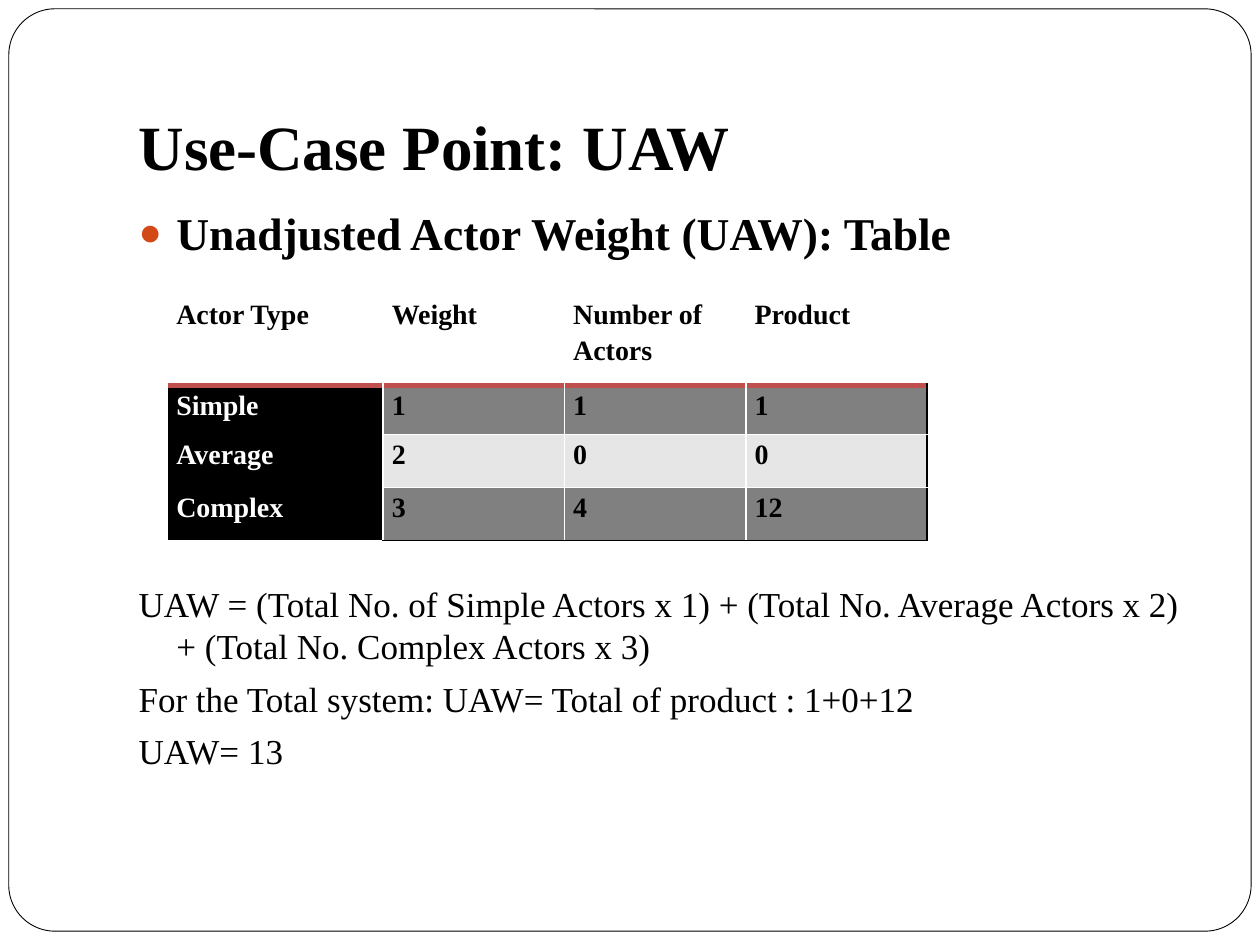
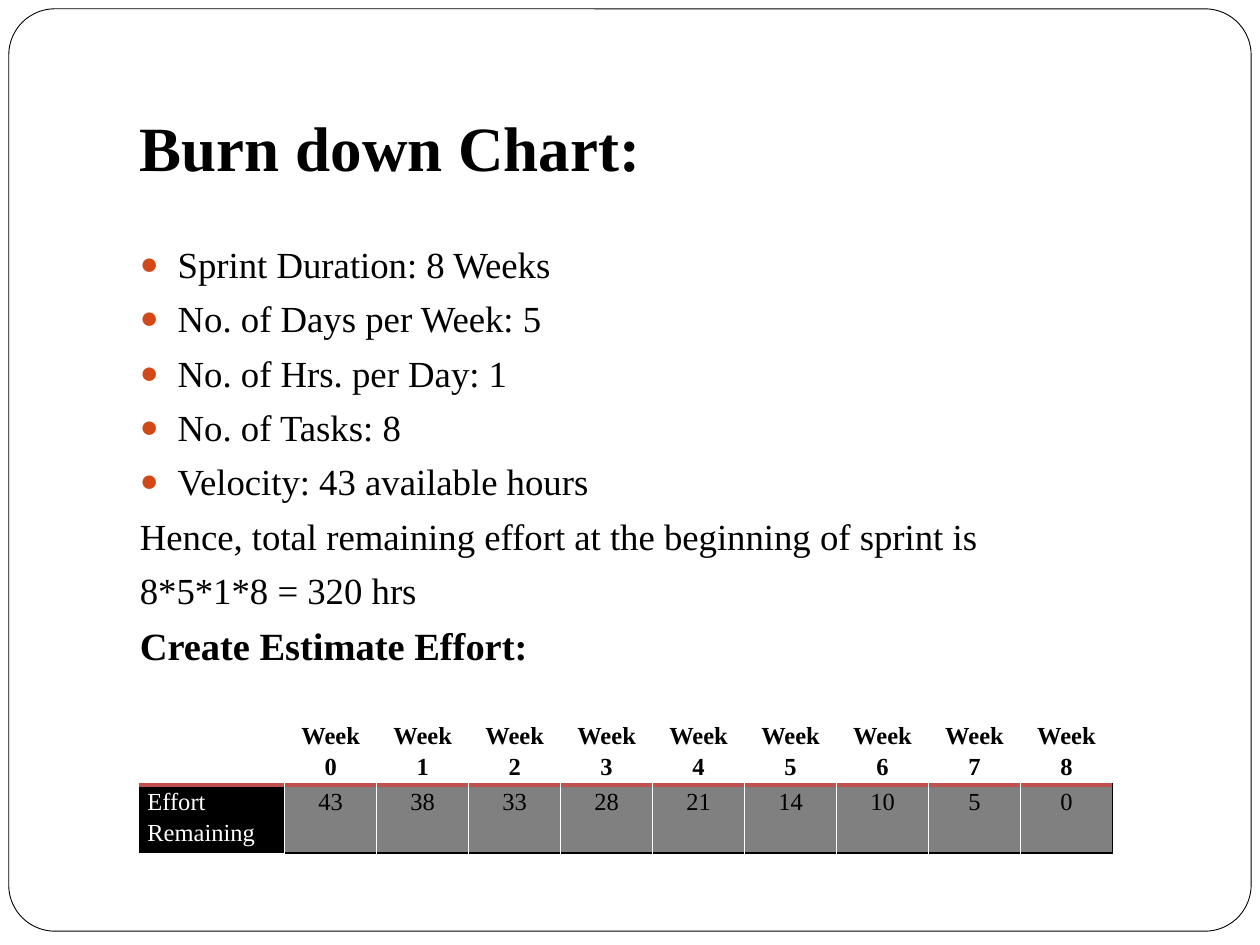
from lxml.etree import SubElement
from pptx import Presentation
from pptx.dml.color import RGBColor
from pptx.enum.shapes import MSO_SHAPE
from pptx.enum.text import MSO_ANCHOR, MSO_AUTO_SIZE, PP_ALIGN
from pptx.oxml.ns import qn
from pptx.util import Inches, Pt

COLORS = {
    "ink": "000000",
    "paper": "FFFFFF",
    "bullet": "D34817",
    "rule": "C0504D",
    "dark_band": "808080",
    "light_band": "E6E6E6",
}
FONT = "Times New Roman"
PLAIN_TABLE_STYLE = "{2D5ABB26-0587-4C30-8999-92F81FD0307C}"
PARAGRAPH_GAP = 5.8


def rgb(name):
    return RGBColor.from_string(COLORS[name])


def place(shape, left, top, width, height):
    shape.left, shape.top = Inches(left), Inches(top)
    shape.width, shape.height = Inches(width), Inches(height)


def set_border(cell, side, color, width):
    """Draw one cell edge; sides must come in the order L, R, T, B."""
    line = SubElement(cell._tc.get_or_add_tcPr(), qn(f"a:ln{side}"), w=str(Pt(width)))
    fill = SubElement(line, qn("a:solidFill"))
    SubElement(fill, qn("a:srgbClr"), val=COLORS[color])


def cell_borders(row, column, last_row, last_column):
    """Return {side: (color, width)} for a cell of a table with a ruled header."""
    if row == 0:
        return {"B": ("rule", 3)}
    is_label = column == 0
    inner = "ink" if is_label else "paper"
    borders = {}
    if not is_label:
        borders["L"] = ("paper", 1)
    borders["R"] = ("ink" if column == last_column else "paper", 1)
    borders["T"] = ("rule", 3) if row == 1 else (inner, 1)
    if row < last_row:
        borders["B"] = (inner, 1)
    elif not is_label:
        borders["B"] = ("ink", 1)
    return borders


class Deck:
    def __init__(self):
        self.presentation = Presentation()
        self.presentation.slide_width = Inches(10)
        self.presentation.slide_height = Inches(7.5)
        self.slide = None

    def add_slide(self):
        layout = self.presentation.slide_layouts[1]
        self.slide = self.presentation.slides.add_slide(layout)
        self.frame()

    def frame(self):
        """Put the rounded frame behind everything else on the slide."""
        frame = self.slide.shapes.add_shape(
            MSO_SHAPE.ROUNDED_RECTANGLE,
            Inches(0.07), Inches(0.07), Inches(9.86), Inches(7.32))
        frame.adjustments[0] = 0.05
        frame.shadow.inherit = False
        frame.fill.solid()
        frame.fill.fore_color.rgb = rgb("paper")
        frame.line.color.rgb = rgb("ink")
        frame.line.width = Pt(0.5)
        self.slide.shapes._spTree.insert(2, frame._element)

    def run(self, paragraph, text, size, bold=False, color="ink"):
        run = paragraph.add_run()
        run.text = text
        run.font.name = FONT
        run.font.size = Pt(size)
        run.font.bold = bold
        run.font.color.rgb = rgb(color)

    def title(self, text, left, top):
        title = self.slide.shapes.title
        place(title, left, top, 8.5, 1.25)
        frame = title.text_frame
        frame.auto_size = MSO_AUTO_SIZE.NONE
        frame.vertical_anchor = MSO_ANCHOR.BOTTOM
        frame.margin_bottom = Inches(0.1)
        paragraph = frame.paragraphs[0]
        paragraph.alignment = PP_ALIGN.LEFT
        self.run(paragraph, text, 36, bold=True)

    def body(self, items, left, top, width, height):
        """Fill the body with (text, size, bold, bulleted, space before) items."""
        body = self.slide.placeholders[1]
        place(body, left, top, width, height)
        frame = body.text_frame
        frame.auto_size = MSO_AUTO_SIZE.NONE
        frame.vertical_anchor = MSO_ANCHOR.TOP
        for index, (text, size, bold, bulleted, gap) in enumerate(items):
            paragraph = frame.add_paragraph() if index else frame.paragraphs[0]
            self.bullet(paragraph, bulleted)
            paragraph.space_before = Pt(gap if index else 0)
            self.run(paragraph, text, size, bold)

    def bullet(self, paragraph, visible):
        properties = paragraph._p.get_or_add_pPr()
        properties.set("marL", str(Inches(0.3)))
        properties.set("indent", str(-Inches(0.3)))
        if not visible:
            SubElement(properties, qn("a:buNone"))
            return
        color = SubElement(properties, qn("a:buClr"))
        SubElement(color, qn("a:srgbClr"), val=COLORS["bullet"])
        SubElement(properties, qn("a:buSzPct"), val="85000")
        SubElement(properties, qn("a:buFont"), typeface=FONT)
        SubElement(properties, qn("a:buChar"), char="●")

    def table(self, rows, left, top, widths, heights, size,
              bold_body=False, alignment=PP_ALIGN.LEFT):
        graphic = self.slide.shapes.add_table(
            len(rows), len(widths), Inches(left), Inches(top),
            Inches(sum(widths)), Inches(sum(heights)))
        table = graphic.table
        table._tbl.tblPr.find(qn("a:tableStyleId")).text = PLAIN_TABLE_STYLE
        for column, width in zip(table.columns, widths):
            column.width = Inches(width)
        for row, height in zip(table.rows, heights):
            row.height = Inches(height)
        for row, values in enumerate(rows):
            for column, value in enumerate(values):
                cell = table.cell(row, column)
                borders = cell_borders(row, column, len(rows) - 1, len(widths) - 1)
                for side, (color, width) in borders.items():
                    set_border(cell, side, color, width)
                is_label = row > 0 and column == 0
                if row == 0:
                    fill = "paper"
                elif is_label:
                    fill = "ink"
                else:
                    fill = "dark_band" if row % 2 else "light_band"
                cell.fill.solid()
                cell.fill.fore_color.rgb = rgb(fill)
                cell.margin_left = cell.margin_right = Inches(0.07)
                cell.margin_top = cell.margin_bottom = 0
                if not value:
                    continue
                paragraph = cell.text_frame.paragraphs[0]
                paragraph.alignment = PP_ALIGN.LEFT if is_label else alignment
                paragraph.line_spacing = 1.15
                self.run(paragraph, value, size, bold_body or row == 0,
                         "paper" if is_label else "ink")


def actor_weight_slide(deck):
    deck.add_slide()
    deck.title("Use-Case Point: UAW", 1, 0.3)
    table_gap = 184.5
    deck.body([
        ("Unadjusted Actor Weight (UAW): Table", 26, True, True, 0),
        ("UAW = (Total No. of Simple Actors x 1) + (Total No. Average Actors x 2)"
         " + (Total No. Complex Actors x 3)", 20, False, False, table_gap),
        ("For the Total system: UAW= Total of product : 1+0+12",
         20, False, False, PARAGRAPH_GAP),
        ("UAW= 13", 20, False, False, PARAGRAPH_GAP),
    ], 1, 1.58, 8.5, 5)
    deck.table([
        ["Actor Type", "Weight", "Number of Actors", "Product"],
        ["Simple", "1", "1", "1"],
        ["Average", "2", "0", "0"],
        ["Complex", "3", "4", "12"],
    ], 1.33, 2.34, [1.71] + [1.44] * 3, [0.72, 0.39, 0.42, 0.42], 16, bold_body=True)


def burn_down_slide(deck):
    deck.add_slide()
    deck.title("Burn down Chart:", 1.01, 0.31)
    facts = ["Sprint Duration: 8 Weeks", "No. of Days per Week: 5",
             "No. of Hrs. per Day: 1", "No. of Tasks: 8",
             "Velocity: 43 available hours"]
    conclusions = ["Hence, total remaining effort at the beginning of sprint is",
                   "8*5*1*8 = 320 hrs"]
    items = [(text, 21, False, True, PARAGRAPH_GAP) for text in facts]
    items += [(text, 21, False, False, PARAGRAPH_GAP) for text in conclusions]
    items.append(("Create Estimate Effort:", 22, True, False, PARAGRAPH_GAP))
    deck.body(items, 1.01, 1.87, 7.83, 3.8)

    remaining_hours = [43, 38, 33, 28, 21, 14, 10, 5, 0]
    weeks = len(remaining_hours)
    deck.table([
        [""] + [f"Week {week}" for week in range(weeks)],
        ["Effort Remaining"] + [str(hours) for hours in remaining_hours],
    ], 1.1, 5.7, [1.16] + [0.73] * weeks, [0.53, 0.54], 14, alignment=PP_ALIGN.CENTER)


def main():
    deck = Deck()
    actor_weight_slide(deck)
    burn_down_slide(deck)
    deck.presentation.save("out.pptx")


if __name__ == "__main__":
    main()
